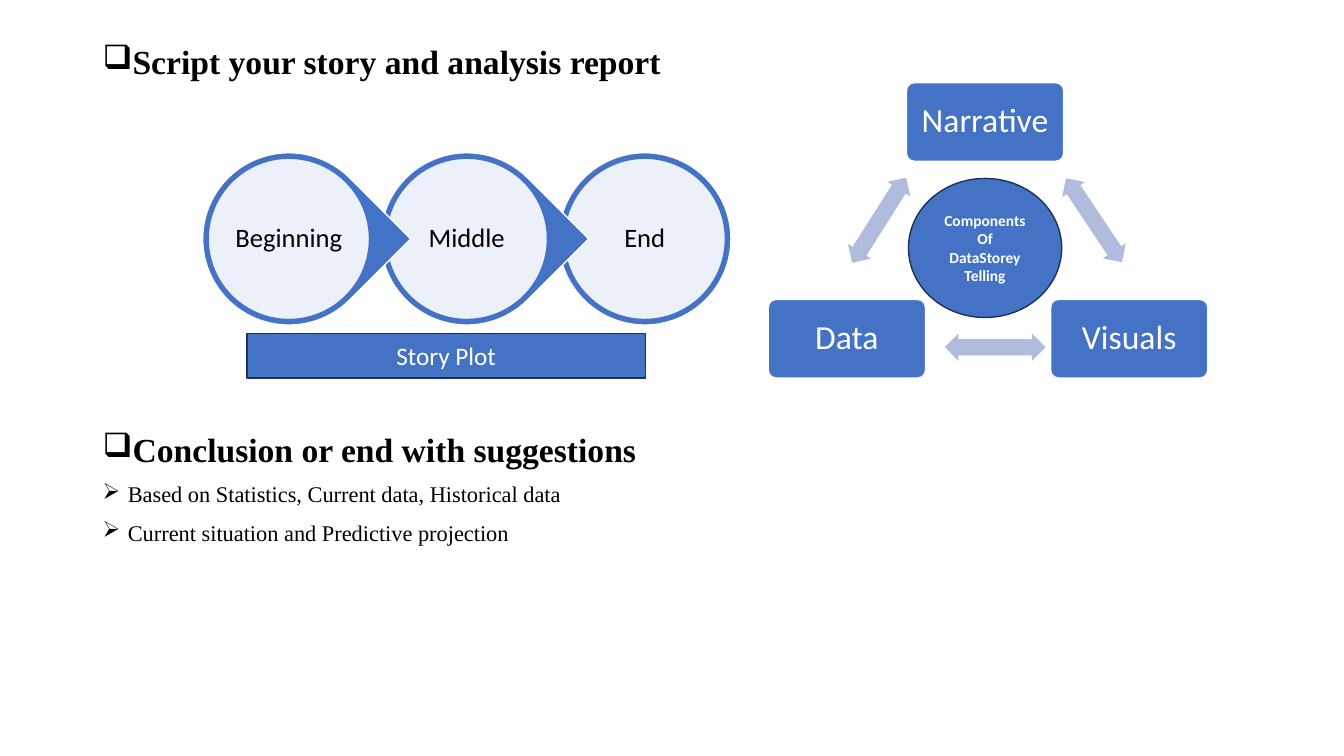
from lxml.etree import SubElement
from pptx import Presentation
from pptx.dml.color import RGBColor
from pptx.enum.shapes import MSO_SHAPE
from pptx.enum.text import MSO_ANCHOR, PP_ALIGN
from pptx.oxml.ns import qn
from pptx.util import Inches, Pt

BLUE = RGBColor(0x44, 0x72, 0xC4)
NAVY = RGBColor(0x1E, 0x32, 0x56)
PALE = RGBColor(0xB0, 0xBC, 0xDE)
WHITE = RGBColor(0xFF, 0xFF, 0xFF)
BLACK = RGBColor(0x00, 0x00, 0x00)

deck = Presentation()
deck.slide_width, deck.slide_height = Inches(13.33), Inches(7.5)
COLUMN = deck.slide_width / 133.3
ROW = deck.slide_height / 75
page = deck.slides.add_slide(deck.slide_layouts[6])


def place(kind, left, top, width, height, fill, line=None):
    box = page.shapes.add_shape(kind, round(left * COLUMN), round(top * ROW),
                                round(width * COLUMN), round(height * ROW))
    box.shadow.inherit = False
    box.fill.solid()
    box.fill.fore_color.rgb = fill
    if line is None:
        box.line.fill.background()
    else:
        box.line.color.rgb = line
        box.line.width = Pt(1)
    return box


def write(box, lines, size, color, inset=0.1, spacing=0.9, bold=False):
    frame = box.text_frame
    frame.word_wrap = True
    frame.vertical_anchor = MSO_ANCHOR.MIDDLE
    for side in ("left", "top", "right", "bottom"):
        setattr(frame, f"margin_{side}", Inches(inset))
    for number, line in enumerate(lines):
        para = frame.add_paragraph() if number else frame.paragraphs[0]
        para.alignment = PP_ALIGN.CENTER
        para.line_spacing = spacing
        span = para.add_run()
        span.text = line
        for name, value in {"size": Pt(size), "name": "Calibri", "bold": bold}.items():
            setattr(span.font, name, value)
        span.font.color.rgb = color


HEADING = {"size": Pt(24), "bold": True}
DETAIL = {"size": Pt(16), "bold": False}
SECTIONS = [
    (4, 5, [("❑", "Script your story and analysis report", HEADING)]),
    (42.5, 15, [
        ("❑", "Conclusion or end with suggestions", HEADING),
        ("➢", "Based on Statistics, Current data, Historical data", DETAIL),
        ("➢", "Current situation and Predictive projection", DETAIL),
    ]),
]
for top, height, items in SECTIONS:
    box = page.shapes.add_textbox(round(9.2 * COLUMN), round(top * ROW),
                                  round(115 * COLUMN), round(height * ROW))
    frame = box.text_frame
    frame.word_wrap = True
    for number, (bullet, words, style) in enumerate(items):
        para = frame.add_paragraph() if number else frame.paragraphs[0]
        para.line_spacing = 0.9
        para.space_before = Pt(10 if number else 0)
        properties = para._p.get_or_add_pPr()
        properties.set("marL", str(Inches(0.25)))
        properties.set("indent", str(-Inches(0.25)))
        SubElement(properties, qn("a:buChar")).set("char", bullet)
        span = para.add_run()
        span.text = words
        for name, value in {"name": "Times New Roman", **style}.items():
            setattr(span.font, name, value)
        span.font.color.rgb = BLACK

for label, left, top in (("Narrative", 89.9, 8.2), ("Visuals", 104.2, 29.7), ("Data", 76.2, 29.7)):
    box = place(MSO_SHAPE.ROUNDED_RECTANGLE, left, top, 15.6, 7.8, BLUE, WHITE)
    box.adjustments[0] = 0.1
    write(box, [label], 24, WHITE)

for left, top, turn in ((103.5, 20.5, 56.3), (93.7, 33.1, 180), (82.2, 20.5, 302.4)):
    arrow = place(MSO_SHAPE.LEFT_RIGHT_ARROW, left, top, 10, 2.7, PALE)
    arrow.adjustments[0], arrow.adjustments[1] = 0.6, 0.5
    arrow.rotation = turn

STAGES = ["Beginning", "Middle", "End"]
for step, label in reversed(list(enumerate(STAGES))):
    left = 20.1 + 17.65 * step
    last = step == len(STAGES) - 1
    rim = place(MSO_SHAPE.OVAL if last else MSO_SHAPE.TEAR,
                left, 15.15, 17.1, 17.1, BLUE, WHITE)
    if not last:
        rim.adjustments[0] = 1
        rim.rotation = 45
    disc = place(MSO_SHAPE.OVAL, left + 0.55, 15.7, 16, 16, WHITE, BLUE)
    tint = disc._element.spPr.find(qn("a:solidFill"))[0]
    SubElement(tint, qn("a:alpha")).set("val", "90000")
    write(disc, [label], 19, BLACK, inset=0.03)

hub = place(MSO_SHAPE.FLOWCHART_CONNECTOR, 90.1, 17.7, 15.2, 13.8, BLUE, NAVY)
write(hub, ["Components", "Of", "DataStorey Telling"], 11, WHITE, spacing=1, bold=True)
plot = place(MSO_SHAPE.RECTANGLE, 24.5, 33.1, 39.5, 4.4, BLUE, NAVY)
write(plot, ["Story Plot"], 18, WHITE, inset=0.05, spacing=1)

deck.save("out.pptx")
